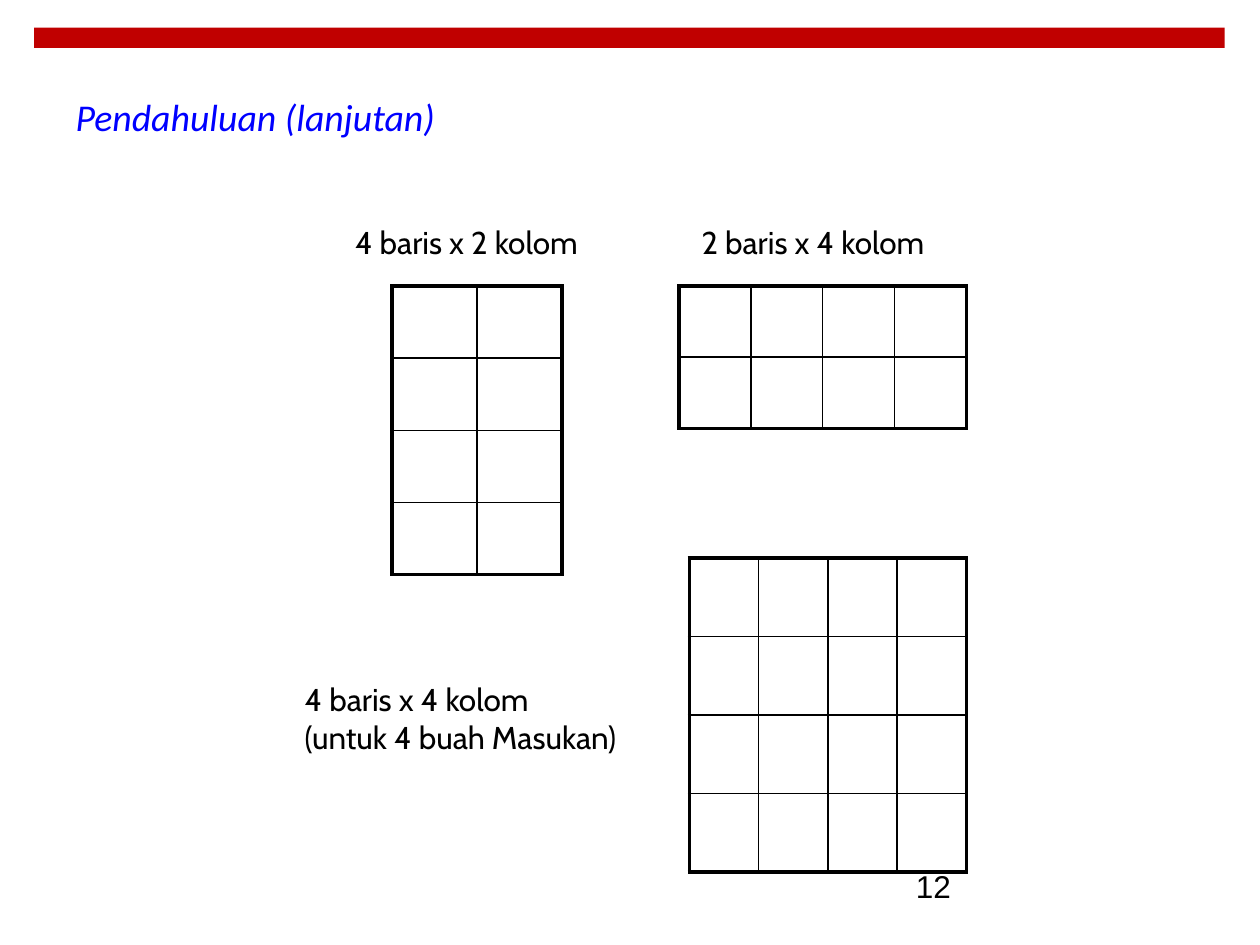
from lxml import etree
from pptx import Presentation
from pptx.dml.color import RGBColor
from pptx.enum.shapes import MSO_SHAPE as Shape
from pptx.enum.text import MSO_ANCHOR as Anchor, PP_ALIGN as Align
from pptx.oxml.ns import qn
from pptx.util import Inches, Pt

RED = RGBColor(0xC0, 0x00, 0x00)
BLUE = RGBColor(0x00, 0x00, 0xFF)
BLACK = RGBColor(0x00, 0x00, 0x00)
THICK, THIN = Pt(2.25), Pt(1)


def style(frame, font, size, color, italic=False):
    for para in frame.paragraphs:
        para.alignment = Align.LEFT
        for run in para.runs:
            run.font.name = font
            run.font.size = Pt(size)
            run.font.color.rgb = color
            run.font.italic = italic


def add_bar(slide, box):
    bar = slide.shapes.add_shape(Shape.RECTANGLE, *map(Inches, box))
    bar.shadow.inherit = False
    bar.fill.solid()
    bar.fill.fore_color.rgb = RED
    bar.line.fill.background()


def add_title(slide, box, text):
    title = slide.shapes.title
    title.left, title.top, title.width, title.height = map(Inches, box)
    frame = title.text_frame
    frame.text = text
    frame.vertical_anchor = Anchor.MIDDLE
    style(frame, "Calibri", 21.6, BLUE, italic=True)


def add_label(slide, box, text, font="Cabin", wrap=False):
    frame = slide.shapes.add_textbox(*map(Inches, box)).text_frame
    frame.word_wrap = wrap
    frame.text = text
    style(frame, font, 18, BLACK)


def set_edges(cell, edges):
    """Draw the cell's borders; edges pairs each side with True if outer."""
    props = cell._tc.get_or_add_tcPr()
    for place, (side, outer) in enumerate(edges):
        line = etree.Element(qn(f"a:ln{side}"), w=str(THICK if outer else THIN))
        fill = etree.SubElement(line, qn("a:solidFill"))
        etree.SubElement(fill, qn("a:srgbClr"), val=str(BLACK))
        props.insert(place, line)


def add_grid(slide, box, rows, cols):
    """Add an empty table with thick outer and thin inner borders."""
    table = slide.shapes.add_table(rows, cols, *map(Inches, box)).table
    table.first_row = table.horz_banding = False
    for row in range(rows):
        for col in range(cols):
            cell = table.cell(row, col)
            cell.fill.background()
            set_edges(cell, [("L", col == 0), ("R", col == cols - 1),
                             ("T", row == 0), ("B", row == rows - 1)])


def main():
    deck = Presentation()
    deck.slide_width, deck.slide_height = Inches(10), Inches(7.5)
    slide = deck.slides.add_slide(deck.slide_layouts[5])
    add_bar(slide, (0.27, 0.22, 9.45, 0.16))
    add_label(slide, (7.17, 6.83, 2.33, 0.52), "12", "Arial", wrap=True)
    add_title(slide, (0.5, 0.72, 9, 0.41), "Pendahuluan (lanjutan)")
    add_grid(slide, (3.11, 2.27, 1.35, 2.29), 4, 2)
    add_grid(slide, (5.39, 2.27, 2.28, 1.13), 2, 4)
    add_grid(slide, (5.47, 4.43, 2.2, 2.49), 4, 4)
    add_label(slide, (5.47, 1.72, 2.1, 0.4), "2 baris x 4 kolom")
    add_label(slide, (2.72, 1.72, 2.1, 0.4), "4 baris x 2 kolom")
    add_label(slide, (2.32, 5.35, 2.91, 0.7),
              "4 baris x 4 kolom\n(untuk 4 buah Masukan)", wrap=True)
    deck.save("out.pptx")


if __name__ == "__main__":
    main()
